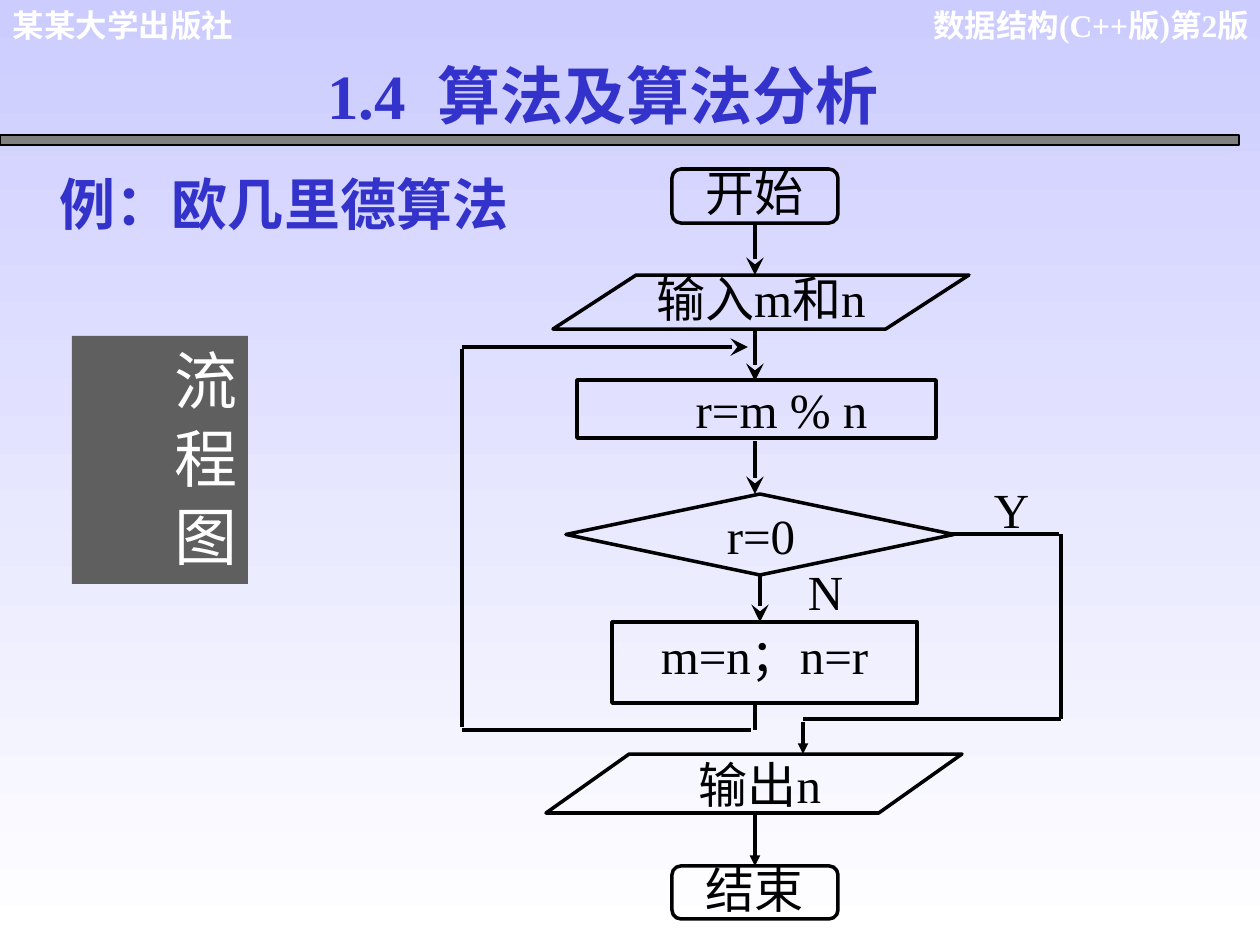
from lxml import etree
from pptx import Presentation, util as u
from pptx.dml.color import RGBColor
from pptx.enum import shapes, text
from pptx.oxml.ns import qn

W, H, PX_PER_INCH = 1260, 945, 126
BLACK = RGBColor(0x00, 0x00, 0x00)
WHITE = RGBColor(0xFF, 0xFF, 0xFF)
BLUE = RGBColor(0x33, 0x33, 0xCC)
LAVENDER = RGBColor(0xCC, 0xCC, 0xFF)
GRAY = RGBColor(0x80, 0x80, 0x80)
DARK_GRAY = RGBColor(0x5F, 0x5F, 0x5F)
SERIF, SANS = "Times New Roman", "Arial"
M = shapes.MSO_SHAPE
AL = text.PP_ALIGN

TITLE = ("1.4  算法及算法分析", (314, 50, 688, 88))
HEADINGS = [
    ("数据结构(C++版)第2版", (910, 0, 339, 88),
     dict(size=18, color=WHITE, bold=True, align=AL.RIGHT, ins=(0, 6, 0, 6))),
    ("某某大学出版社", (0, 0, 341, 50),
     dict(size=18, font=SANS, color=WHITE, bold=True, ins=(13, 6, 13, 6))),
    ("例：欧几里德算法", (47, 163, 665, 81),
     dict(size=32, font=SANS, color=BLUE, bold=True, ins=(13, 6, 13, 6))),
]
RULE = (0, 135, 1239, 10)
SIDE_LABEL = ("流 程 图", (72, 336, 176, 248))

STEPS = [
    ("开始", M.FLOWCHART_ALTERNATE_PROCESS, (672, 169, 166, 54),
     dict(ins=(8, 0, 8, 0), spacing=0.85)),
    ("输入m和n", M.FLOWCHART_DATA, (553, 275, 416, 54),
     dict(ins=(3, 0, 3, 0), spacing=0.9, wrap=False)),
    ("r=m % n", M.FLOWCHART_PROCESS, (577, 380, 359, 58),
     dict(ins=(53, 0, 3, 0))),
    ("", M.FLOWCHART_DECISION, (566, 494, 388, 81), {}),
    ("m=n；n=r", M.FLOWCHART_PROCESS, (612, 622, 305, 81),
     dict(ins=(13, 15, 13, 0), spacing=0.8)),
    ("输出n", M.FLOWCHART_DATA, (546, 754, 416, 59),
     dict(ins=(20, 0, 8, 0))),
    ("结束", M.FLOWCHART_ALTERNATE_PROCESS, (672, 866, 166, 53),
     dict(ins=(8, 0, 8, 0), spacing=0.85)),
]
LABELS = [
    ("r=0", (723, 506, 76, 44)),
    ("N", (808, 561, 35, 44)),
    ("Y", (982, 479, 59, 44)),
]

AXIS, LOOP_X, EXIT_X, OUT_X = 755, 462, 1061, 803
LOOP_TOP, LOOP_BOTTOM, EXIT_TOP, EXIT_BOTTOM = 347, 730, 534, 719
STEALTH = dict(type="stealth", w="lg", len="lg")
TRIANGLE = dict(type="triangle")
LINES = [
    (AXIS, 223, AXIS, 275, STEALTH),
    (AXIS, 329, AXIS, 381, STEALTH),
    (AXIS, 441, AXIS, 494, STEALTH),
    (760, 573, 760, 622, STEALTH),
    (AXIS, 812, AXIS, 866, TRIANGLE),
    (952, EXIT_TOP, EXIT_X - 2, EXIT_TOP, None),
    (EXIT_X, EXIT_TOP, EXIT_X, EXIT_BOTTOM, None),
    (EXIT_X, EXIT_BOTTOM, OUT_X, EXIT_BOTTOM, None),
    (OUT_X, EXIT_BOTTOM + 3, OUT_X, 754, TRIANGLE),
    (AXIS, 703, AXIS, LOOP_BOTTOM, None),
    (AXIS - 4, LOOP_BOTTOM, LOOP_X, LOOP_BOTTOM, None),
    (LOOP_X, LOOP_BOTTOM - 3, LOOP_X, LOOP_TOP + 2, None),
    (LOOP_X, LOOP_TOP, AXIS - 7, LOOP_TOP, STEALTH),
]


def px(n):
    return u.Inches(n / PX_PER_INCH)


def put(box):
    return [px(n) for n in box]


def write(sp, content, size=28, font=SERIF, color=BLACK, bold=False,
          align=AL.LEFT, ins=(0, 0, 0, 0), spacing=1.0, wrap=True):
    tf = sp.text_frame
    tf.word_wrap = wrap
    tf.auto_size = text.MSO_AUTO_SIZE.NONE
    tf.vertical_anchor = text.MSO_ANCHOR.TOP
    tf.margin_left, tf.margin_top, tf.margin_right, tf.margin_bottom = put(ins)
    p = tf.paragraphs[0]
    p.alignment, p.line_spacing, p.space_before = align, spacing, u.Pt(0)
    r = p.add_run()
    r.text = content
    r.font.size, r.font.name, r.font.bold = u.Pt(size), font, bold
    r.font.color.rgb = color
    return tf


def add_shape(s, kind, box, fill=None, line=None):
    sp = s.shapes.add_shape(kind, *put(box))
    sp.shadow.inherit = False
    if fill is None:
        sp.fill.background()
    else:
        sp.fill.solid()
        sp.fill.fore_color.rgb = fill
    if line is None:
        sp.line.fill.background()
    else:
        sp.line.color.rgb, sp.line.width = BLACK, u.Pt(line)
    return sp


def add_line(s, x1, y1, x2, y2, head):
    c = s.shapes.add_connector(shapes.MSO_CONNECTOR.STRAIGHT,
                               *put((x1, y1, x2, y2)))
    c.line.color.rgb, c.line.width = BLACK, u.Pt(2)
    if head:
        etree.SubElement(c.line._get_or_add_ln(), qn("a:tailEnd"), head)
    etree.SubElement(c._element.spPr, qn("a:effectLst"))


def main():
    prs = Presentation()
    prs.slide_width, prs.slide_height = px(W), px(H)
    s = prs.slides.add_slide(prs.slide_layouts[5])

    bg = s.background.fill
    bg.gradient()
    bg.gradient_angle = 270
    for stop, color in zip(bg.gradient_stops, (LAVENDER, WHITE)):
        stop.color.rgb = color

    content, box = TITLE
    title = s.shapes.title
    title.left, title.top, title.width, title.height = put(box)
    write(title, content, size=36, color=BLUE, bold=True, ins=(13, 6, 13, 6))

    add_shape(s, M.RECTANGLE, RULE, GRAY, 0.75)
    for content, box, fmt in HEADINGS:
        write(s.shapes.add_textbox(*put(box)), content, **fmt)

    content, box = SIDE_LABEL
    side = add_shape(s, M.RECTANGLE, box, DARK_GRAY)
    tf = write(side, content, size=36, color=WHITE, align=AL.JUSTIFY,
               ins=(6, 13, 6, 13))
    tf._txBody.bodyPr.set("vert", "eaVert")

    for content, kind, box, fmt in STEPS:
        sp = add_shape(s, kind, box, line=2)
        if content:
            write(sp, content, align=AL.CENTER, **fmt)
    for content, box in LABELS:
        write(s.shapes.add_textbox(*put(box)), content, align=AL.CENTER)
    for line in LINES:
        add_line(s, *line)

    prs.save("out.pptx")


if __name__ == "__main__":
    main()
